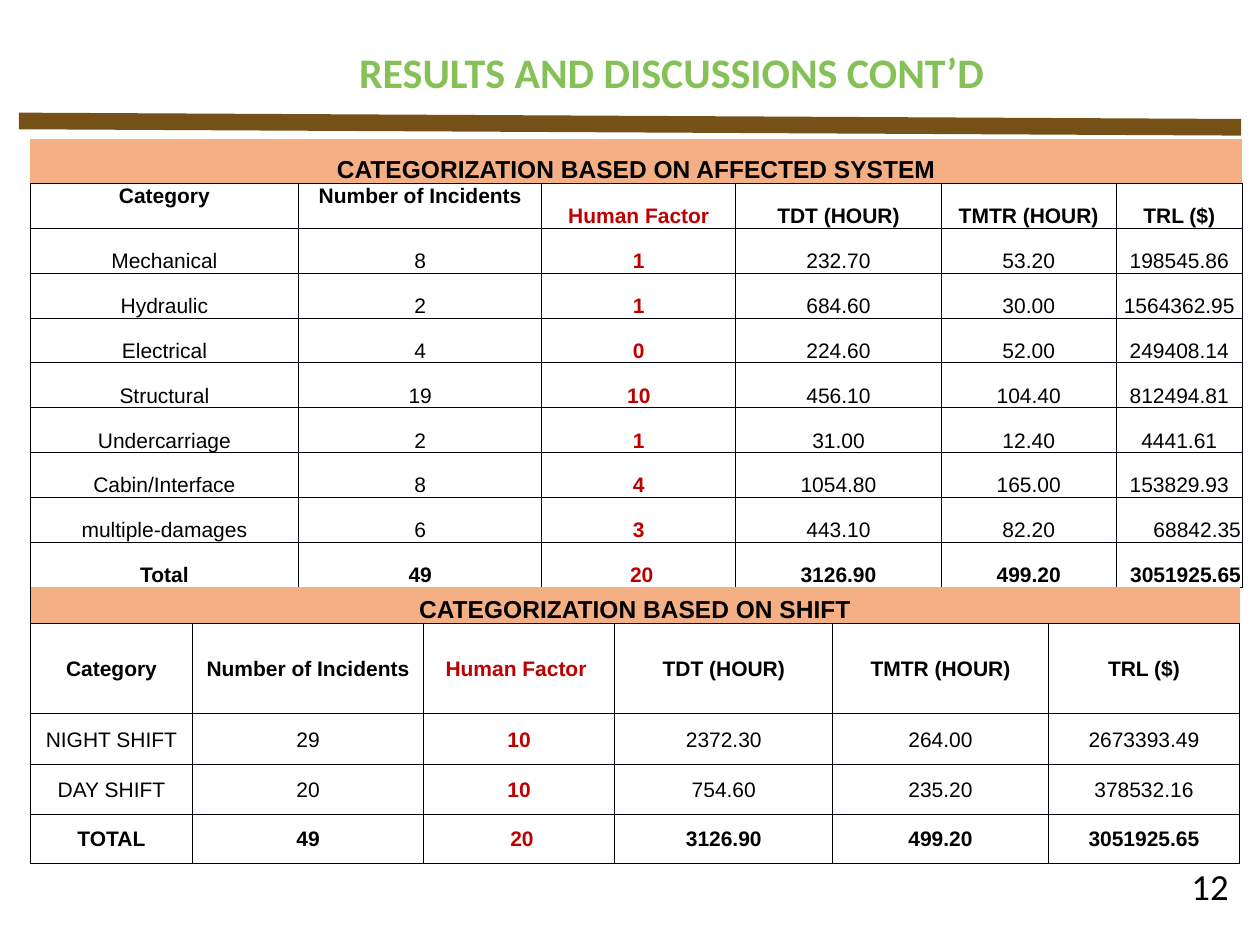
from lxml import etree
from pptx import Presentation, util as u
from pptx.dml.color import RGBColor
from pptx.enum import shapes, text
from pptx.oxml.ns import qn

WIDTH, HEIGHT = u.Inches(10), u.Inches(7.5)
COLORS = {"background": "FFFFFF", "title": "86C157", "rule": "755017", "banner": "F4B084",
          "text": "000000", "human": "C00000", "border": "000008"}
HUMAN_COLUMN = 2
MARGINS = {"margin_left": u.Inches(0.01), "margin_right": u.Inches(0.01),
           "margin_top": u.Inches(0.01), "margin_bottom": 0}
ALIGN, ANCHOR = text.PP_ALIGN, text.MSO_ANCHOR

HEADINGS = ["Number of Incidents", "Human Factor", "TDT (HOUR)", "TMTR (HOUR)", "TRL ($)"]
SYSTEM_ROWS = [
    ["CATEGORIZATION BASED ON AFFECTED SYSTEM"],
    ["Category", *HEADINGS],
    ["Mechanical", "8", "1", "232.70", "53.20", "198545.86"],
    ["Hydraulic", "2", "1", "684.60", "30.00", "1564362.95"],
    ["Electrical", "4", "0", "224.60", "52.00", "249408.14"],
    ["Structural", "19", "10", "456.10", "104.40", "812494.81"],
    ["Undercarriage", "2", "1", "31.00", "12.40", "4441.61"],
    ["Cabin/Interface", "8", "4", "1054.80", "165.00", "153829.93"],
    ["multiple-damages", "6", "3", "443.10", "82.20", "68842.35"],
    ["Total", "49", " 20", "3126.90", "499.20", "3051925.65"],
]
SHIFT_ROWS = [
    ["CATEGORIZATION BASED ON SHIFT"],
    ["Category", HEADINGS[0], "Human Factor ", *HEADINGS[2:]],
    ["NIGHT SHIFT", "29", "10", "2372.30", "264.00", "2673393.49"],
    ["DAY SHIFT", "20", "10", "754.60", "235.20", "378532.16"],
    ["TOTAL", "49", " 20", "3126.90", "499.20", "3051925.65"],
]


def across(percent):
    """Return a share of the slide width."""
    return round(WIDTH * percent / 100)


def down(percent):
    """Return a share of the slide height."""
    return round(HEIGHT * percent / 100)


def color(name):
    """Return a named colour."""
    return RGBColor.from_string(COLORS[name])


def apply(target, values):
    """Set attributes from a dict."""
    for name, value in values.items():
        setattr(target, name, value)


def write(frame, words, ink="text", align=ALIGN.CENTER, **font):
    """Write one formatted paragraph into a text frame."""
    paragraph = frame.paragraphs[0]
    paragraph.alignment = align
    run = paragraph.add_run()
    run.text = words
    apply(run.font, font)
    run.font.color.rgb = color(ink)


def add_title(slide, words):
    """Place and fill the title placeholder."""
    title = slide.shapes.title
    apply(title, {"left": across(23.8), "top": down(4.27),
                  "width": across(59), "height": down(6.67)})
    title.text_frame.vertical_anchor = ANCHOR.TOP
    write(title.text_frame, words, "title", name="Calibri", size=u.Pt(24), bold=True)


def add_page_number(slide, words):
    """Add the page number at the lower right."""
    box = slide.shapes.add_textbox(across(92.2), down(91.73), across(6.3), down(4))
    apply(box.text_frame, {"word_wrap": True, "vertical_anchor": ANCHOR.MIDDLE})
    write(box.text_frame, words, align=ALIGN.RIGHT, name="Calibri", size=u.Pt(21))


def add_rule(slide):
    """Draw the thick rule under the title."""
    rule = slide.shapes.add_connector(shapes.MSO_CONNECTOR.STRAIGHT, across(1.5), down(12.8),
                                      across(98.5), down(13.47))
    rule.line.width = u.Pt(9.5)
    rule.line.color.rgb = color("rule")
    etree.SubElement(rule._element.spPr, qn("a:effectLst"))


def set_borders(cell, drawn):
    """Draw the given sides of a cell and clear the others."""
    properties = cell._tc.get_or_add_tcPr()
    for side in "LRTB":
        line = etree.SubElement(properties, qn(f"a:ln{side}"), w=str(u.Pt(0.5)))
        if side in drawn:
            fill = etree.SubElement(line, qn("a:solidFill"))
            etree.SubElement(fill, qn("a:srgbClr"), val=COLORS["border"])
        else:
            etree.SubElement(line, qn("a:noFill"))


def fill_banner(table, words, sides):
    """Merge the first row into a coloured banner."""
    cells = list(table.rows[0].cells)
    for cell in cells:
        set_borders(cell, sides)
        cell.fill.solid()
        cell.fill.fore_color.rgb = color("banner")
    cells[0].merge(cells[-1])
    apply(cells[0], {**MARGINS, "vertical_anchor": ANCHOR.BOTTOM})
    write(cells[0].text_frame, words, name="Arial", size=u.Pt(14), bold=True)


def add_data_table(slide, top, rows, columns, heights, anchor, banner_sides):
    """Add a bordered table under a banner and return it."""
    frame = slide.shapes.add_table(len(rows), len(columns), across(2.4), down(top),
                                   across(sum(columns)), down(sum(heights)))
    table = frame.table
    apply(table, {"first_row": False, "horz_banding": False})
    for column, width in zip(table.columns, columns):
        column.width = across(width)
    for row, height in zip(table.rows, heights):
        row.height = down(height)
    fill_banner(table, rows[0][0], banner_sides)
    for r, values in enumerate(rows[1:], 1):
        for c, value in enumerate(values):
            cell = table.cell(r, c)
            human = c == HUMAN_COLUMN
            set_borders(cell, "LRTB")
            cell.fill.background()
            apply(cell, {**MARGINS, "vertical_anchor": anchor})
            write(cell.text_frame, value, "human" if human else "text", name="Arial",
                  size=u.Pt(12), bold=human or r in (1, len(rows) - 1))
    return table


def main():
    """Build the slide and save it."""
    presentation = Presentation()
    apply(presentation, {"slide_width": WIDTH, "slide_height": HEIGHT})
    slide = presentation.slides.add_slide(presentation.slide_layouts[5])
    slide.background.fill.solid()
    slide.background.fill.fore_color.rgb = color("background")
    add_page_number(slide, "12")
    add_title(slide, "RESULTS AND DISCUSSIONS CONT’D")
    add_rule(slide)
    systems = add_data_table(slide, 14.67, SYSTEM_ROWS, [21.3, 19.3, 15.4, 16.3, 13.9, 10],
                             [4.75] * len(SYSTEM_ROWS), ANCHOR.BOTTOM, "B")
    for c in (0, 1):
        systems.cell(1, c).vertical_anchor = ANCHOR.TOP
    for r in (-2, -1):
        last = systems.cell(len(SYSTEM_ROWS) + r, 5)
        last.text_frame.paragraphs[0].alignment = ALIGN.RIGHT
    add_data_table(slide, 62.13, SHIFT_ROWS, [12.9, 18.3, 15.2, 17.3, 17.1, 15.2],
                   [3.87, 9.47, 5.47, 5.2, 5.2], ANCHOR.MIDDLE, "LB")
    presentation.save("out.pptx")


if __name__ == "__main__":
    main()
